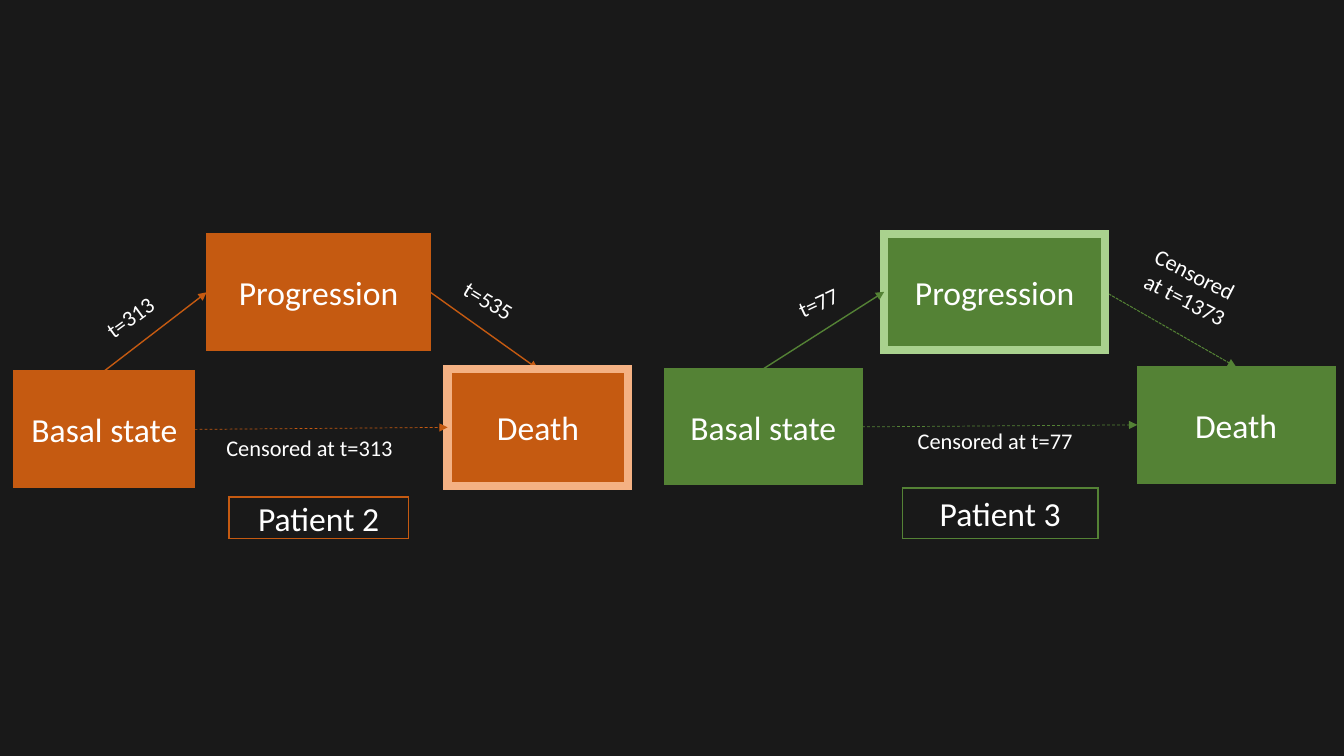
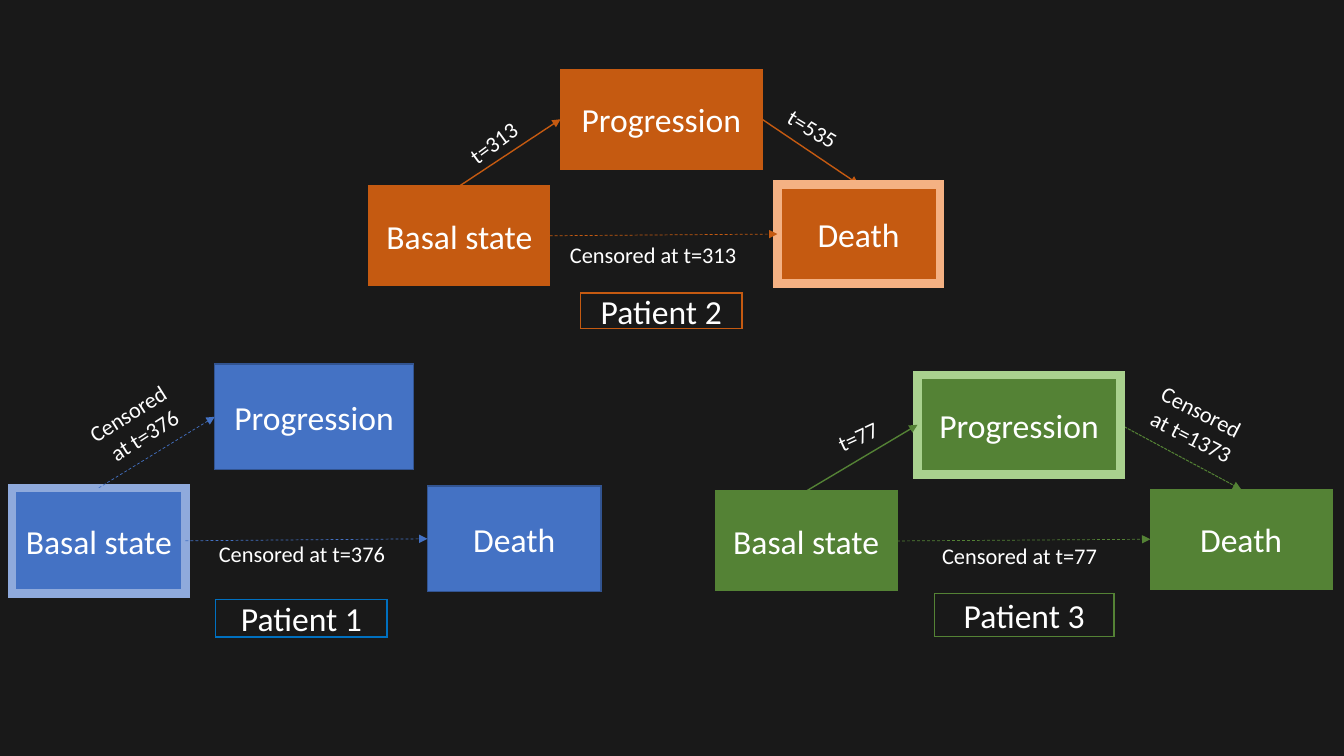
from dataclasses import dataclass

from lxml import etree
from pptx import Presentation
from pptx.dml.color import RGBColor
from pptx.enum.dml import MSO_LINE
from pptx.enum.shapes import MSO_CONNECTOR, MSO_SHAPE
from pptx.enum.text import MSO_ANCHOR, MSO_AUTO_SIZE, PP_ALIGN
from pptx.oxml.ns import qn
from pptx.util import Inches, Pt

RECTANGLE = MSO_SHAPE.RECTANGLE
STRAIGHT = MSO_CONNECTOR.STRAIGHT
DASH, SHORT_DASH = MSO_LINE.DASH, MSO_LINE.SQUARE_DOT
CENTER, MIDDLE = PP_ALIGN.CENTER, MSO_ANCHOR.MIDDLE
FIT_TEXT = MSO_AUTO_SIZE.SHAPE_TO_FIT_TEXT
TOP, LEFT, RIGHT = 0, 1, 3  # connection sites of a rectangle
BLANK_LAYOUT = 6
BASAL, PROGRESSION, DEATH = "Basal state", "Progression", "Death"


@dataclass(frozen=True)
class Theme:
    font: str = "Calibri"
    background: str = "191919"
    text: str = "FFFFFF"
    state_size: int = 24
    label_size: int = 16
    thin: float = 1
    current: float = 6  # outline of the state a patient ends in


THEME = Theme()


@dataclass(frozen=True)
class Transition:
    start: str
    start_side: int
    end: str
    end_side: int
    label: str
    label_area: tuple
    rotation: float = 0
    width: float = THEME.thin
    dash: object = None
    behind: bool = False


@dataclass(frozen=True)
class Patient:
    """Areas are left, top, width, height from the Progression corner."""
    name: str
    fill: str
    outline: str
    highlight: str
    caption_outline: str
    current: str
    states: dict
    caption_area: tuple
    transitions: tuple


@dataclass(frozen=True)
class Frame:
    """Places a patient's diagram on a page."""
    left: float
    top: float
    scale_x: float = 1
    scale_y: float = 1
    basal_extra: float = 0  # inches the basal box grows to the left

    def place(self, area):
        left, top, width, height = area
        return [Inches(value) for value in (
            self.left + left * self.scale_x, self.top + top * self.scale_y,
            width * self.scale_x, height * self.scale_y)]


def to_progression(label, area, rotation, **style):
    return Transition(BASAL, TOP, PROGRESSION, LEFT, label, area, rotation, **style)


def progression_to_death(label, area, rotation, **style):
    return Transition(PROGRESSION, RIGHT, DEATH, TOP, label, area, rotation,
                      behind=True, **style)


def basal_to_death(label, area):
    return Transition(BASAL, RIGHT, DEATH, LEFT, label, area, width=0.5, dash=DASH)


# Patients and their histories
PATIENT_1 = Patient(
    "Patient 1", "4472C4", "325491", "8FAADC", "0070C0", BASAL,
    {BASAL: (-2.01, 1.23, 1.72, 1.05), PROGRESSION: (0, 0, 1.97, 1.05),
     DEATH: (2.11, 1.21, 1.72, 1.05)},
    (0.01, 2.34, 1.7, 0.37),
    (to_progression("Censored \nat t=376", (-2.06, 0.27, 2.61, 0.7), 327.7,
                    width=0.5, dash=DASH),
     basal_to_death("Censored at t=376", (-0.44, 1.7, 2.61, 0.4))))

PATIENT_2 = Patient(
    "Patient 2", "C55A11", "C55A11", "F4B183", "C55A11", DEATH,
    {BASAL: (-1.91, 1.36, 1.79, 1.16), PROGRESSION: (0, 0, 2.22, 1.16),
     DEATH: (2.39, 1.34, 1.79, 1.16)},
    (0.22, 2.61, 1.78, 0.41),
    (to_progression("t=313", (-1.59, 0.63, 1.73, 0.49), 323.8),
     progression_to_death("t=535", (1.9, 0.47, 1.73, 0.49), 30.9),
     basal_to_death("Censored at t=313", (-0.35, 1.94, 2.74, 0.49))))

PATIENT_3 = Patient(
    "Patient 3", "548235", "548235", "A9D18E", "548235", PROGRESSION,
    {BASAL: (-2.18, 1.34, 1.96, 1.15), PROGRESSION: (0, 0, 2.19, 1.15),
     DEATH: (2.51, 1.32, 1.96, 1.15)},
    (0.18, 2.52, 1.94, 0.5),
    (to_progression("t=77", (-2.08, 0.49, 2.89, 0.47), 335),
     progression_to_death("Censored \nat t=1373", (1.56, 0.2, 2.89, 0.81), 26.9,
                          width=0.75, dash=SHORT_DASH),
     basal_to_death("Censored at t=77", (-0.35, 1.87, 2.9, 0.47))))

# Diagrams on each page
PAGES = (
    ((PATIENT_2, Frame(2.05, 2.32)),
     (PATIENT_3, Frame(8.77, 2.32))),
    ((PATIENT_1, Frame(2.13, 3.61)),
     (PATIENT_2, Frame(5.56, 0.69, 0.9, 0.85, basal_extra=0.18)),
     (PATIENT_3, Frame(9.1, 3.72, 0.92, 0.86))),
)


def color(value):
    return RGBColor.from_string(value)


def write(shape, text, *, size, anchor=None):
    frame = shape.text_frame
    frame.word_wrap = True
    if anchor is not None:
        frame.vertical_anchor = anchor
    frame.text = text
    for para in frame.paragraphs:
        para.alignment = CENTER
        font = para.runs[0].font
        font.name, font.size = THEME.font, Pt(size)
        font.color.rgb = color(THEME.text)


def add_box(group, area, text, *, outline, width=THEME.thin, fill=None):
    box = group.shapes.add_shape(RECTANGLE, *area)
    box.shadow.inherit = False
    if fill:
        box.fill.solid()
        box.fill.fore_color.rgb = color(fill)
    else:
        box.fill.background()
    box.line.color.rgb = color(outline)
    box.line.width = Pt(width)
    # Square corners
    etree.SubElement(box.line._get_or_add_ln(), qn("a:miter"), lim="800000")
    write(box, text, size=THEME.state_size, anchor=MIDDLE)
    return box


def add_arrow(group, boxes, transition, line_color):
    arrow = group.shapes.add_connector(STRAIGHT, 0, 0, 0, 0)
    arrow.begin_connect(boxes[transition.start], transition.start_side)
    arrow.end_connect(boxes[transition.end], transition.end_side)
    arrow.line.color.rgb = color(line_color)
    arrow.line.width = Pt(transition.width)
    if transition.dash is not None:
        arrow.line.dash_style = transition.dash
    etree.SubElement(arrow.line._get_or_add_ln(), qn("a:tailEnd"), type="triangle")
    etree.SubElement(arrow._element.spPr, qn("a:effectLst"))
    if transition.behind:
        boxes[BASAL]._element.addprevious(arrow._element)


def add_label(group, area, text, rotation):
    label = group.shapes.add_textbox(*area)
    write(label, text, size=THEME.label_size)
    label.text_frame.auto_size = FIT_TEXT
    label.rotation = rotation


def add_diagram(page, patient, frame):
    group = page.shapes.add_group_shape()
    group.name = patient.name

    # States
    boxes = {}
    for state, area in patient.states.items():
        left, top, width, height = frame.place(area)
        if state == BASAL:
            extra = Inches(frame.basal_extra)
            left, width = left - extra, width + extra
        is_current = state == patient.current
        boxes[state] = add_box(
            group, (left, top, width, height), state, fill=patient.fill,
            outline=patient.highlight if is_current else patient.outline,
            width=THEME.current if is_current else THEME.thin)

    # Transitions with their times
    for transition in patient.transitions:
        add_arrow(group, boxes, transition, patient.fill)
        add_label(group, frame.place(transition.label_area),
                  transition.label, transition.rotation)

    # Caption
    add_box(group, frame.place(patient.caption_area), patient.name,
            outline=patient.caption_outline)


def main():
    deck = Presentation()
    deck.slide_width, deck.slide_height = Inches(13.33), Inches(7.5)
    backdrop = deck.slide_master.background.fill
    backdrop.solid()
    backdrop.fore_color.rgb = color(THEME.background)
    for diagrams in PAGES:
        page = deck.slides.add_slide(deck.slide_layouts[BLANK_LAYOUT])
        for patient, frame in diagrams:
            add_diagram(page, patient, frame)
    deck.save("out.pptx")


if __name__ == "__main__":
    main()
